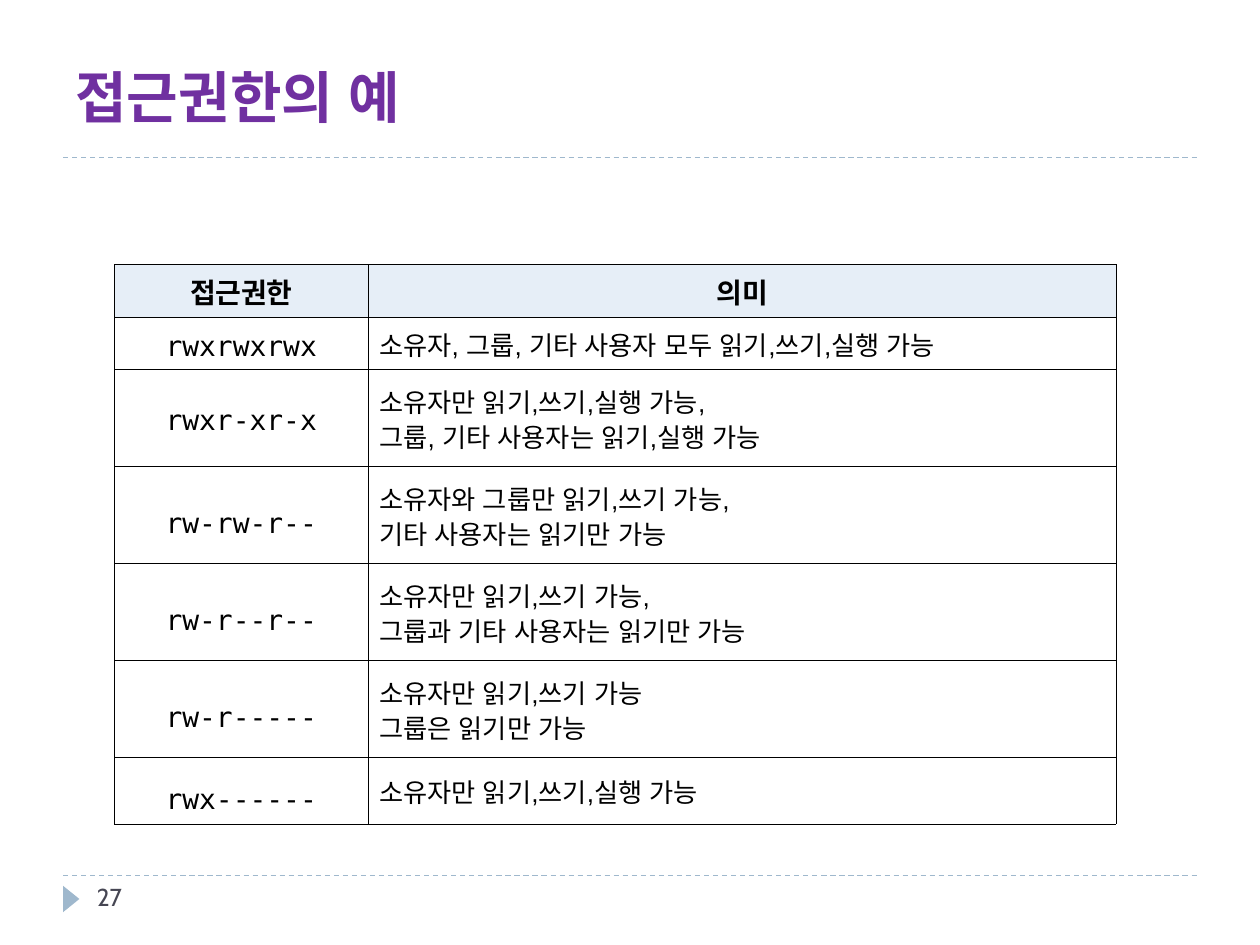
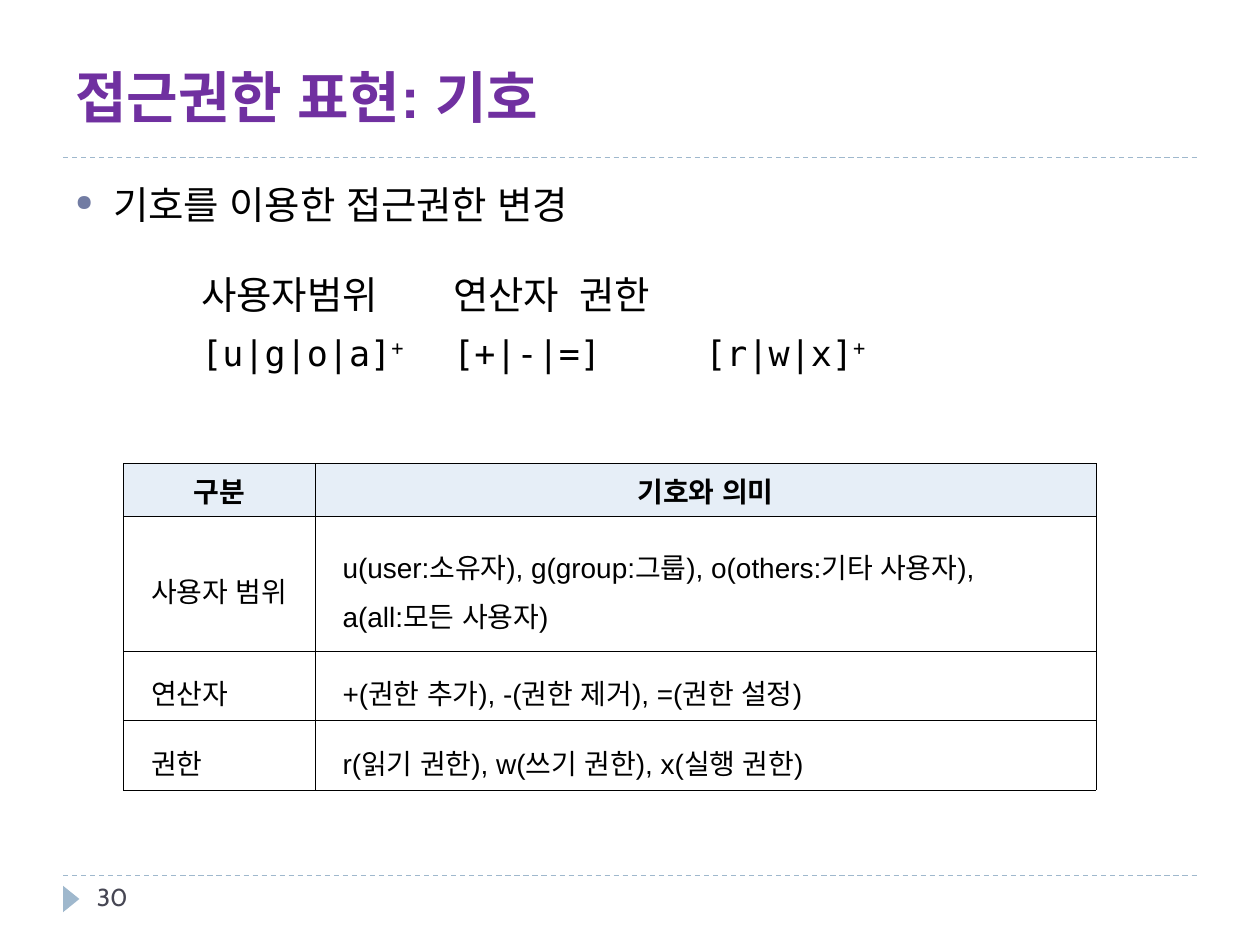
import pptx
import pptx.dml.color
import pptx.enum.dml
import pptx.enum.shapes
import pptx.enum.text
import pptx.oxml
import pptx.oxml.ns
import pptx.util
from lxml import etree

Inches = pptx.util.Inches
Pt = pptx.util.Pt
ALIGN = pptx.enum.text.PP_ALIGN
ANCHOR = pptx.enum.text.MSO_ANCHOR
qn = pptx.oxml.ns.qn

SANS, MONO, NUMBER_FONT = "Arial", "DejaVu Sans Mono", "Cabin"
BLACK, PURPLE, BAND, HEADER, GREY = "000000", "7030A0", "9FB8CD", "E6EEF7", "464653"


def rgb(value):
    return pptx.dml.color.RGBColor.from_string(value)


def add_run(p, text, size, font=SANS, color=BLACK, bold=False, raised=False):
    r = p.add_run()
    r.text = text
    r.font.size = Pt(size)
    r.font.name = font
    r.font.bold = bold
    r.font.color.rgb = rgb(color)
    # The East Asian face also sets the width of spaces between Korean words
    etree.SubElement(r.font._element, qn("a:ea"), typeface=font)
    if raised:
        r.font._element.set("baseline", "30000")


# Each table row: height, first cell, lines of second cell, first-column spacing
slides = [
    {
        "number": "27", "title": "접근권한의 예",
        "at": (0.91, 2.1), "cols": (2.01, 5.94),
        "header": (0.42, "접근권한", "의미"),
        "key": (ALIGN.CENTER, 0, 16, MONO),
        "meaning": (0.07, 15, 1.2),
        "rows": [
            (0.41, "rwxrwxrwx", ["소유자, 그룹, 기타 사용자 모두 읽기,쓰기,실행 가능"], 1.2),
            (0.77, "rwxr-xr-x", ["소유자만 읽기,쓰기,실행 가능,",
                                 "그룹, 기타 사용자는 읽기,실행 가능"], 1.2),
            (0.77, "rw-rw-r--", ["소유자와 그룹만 읽기,쓰기 가능,",
                                 "기타 사용자는 읽기만 가능"], 1.6),
            (0.77, "rw-r--r--", ["소유자만 읽기,쓰기 가능,",
                                 "그룹과 기타 사용자는 읽기만 가능"], 1.6),
            (0.77, "rw-r-----", ["소유자만 읽기,쓰기 가능", "그룹은 읽기만 가능"], 1.6),
            (0.53, "rwx------", ["소유자만 읽기,쓰기,실행 가능"], 1.6),
        ],
    },
    {
        "number": "30", "title": "접근권한 표현: 기호",
        "at": (0.98, 3.68), "cols": (1.52, 6.2),
        "header": (0.42, "구분", "기호와 의미"),
        "key": (ALIGN.JUSTIFY, 0.2, 16, SANS),
        "meaning": (0.2, 16, 1.6),
        "rows": [
            (1.07, "사용자 범위", ["u(user:소유자), g(group:그룹), o(others:기타 사용자),",
                              "a(all:모든 사용자)"], 1.6),
            (0.55, "연산자", ["+(권한 추가), -(권한 제거), =(권한 설정)"], 1.6),
            (0.55, "권한", ["r(읽기 권한), w(쓰기 권한), x(실행 권한)"], 1.6),
        ],
    },
]

prs = pptx.Presentation()
prs.slide_width, prs.slide_height = Inches(10), Inches(7.5)

for data in slides:
    s = prs.slides.add_slide(prs.slide_layouts[6])

    # Dashed rules under the title and above the footer
    for y in (6.95, 1.25):
        rule = s.shapes.add_connector(pptx.enum.shapes.MSO_CONNECTOR.STRAIGHT,
                                      Inches(0.5), Inches(y), Inches(9.5), Inches(y))
        rule.line.color.rgb = rgb(BAND)
        rule.line.width = Pt(0.75)
        rule.line.dash_style = pptx.enum.dml.MSO_LINE.DASH
        etree.SubElement(rule._element.spPr, qn("a:effectLst"))

    # Footer marker
    sp = s.shapes.add_shape(pptx.enum.shapes.MSO_SHAPE.ISOSCELES_TRIANGLE,
                            Inches(0.46), Inches(7.07), Inches(0.21), Inches(0.13))
    sp.rotation = 90
    sp.shadow.inherit = False
    sp.fill.solid()
    sp.fill.fore_color.rgb = rgb(BAND)
    sp.line.fill.background()

    # Title and slide number
    for box, anchor, text, size, font, color, bold in (
        ((0.5, 0.17, 9, 0.91), ANCHOR.BOTTOM, data["title"], 32, SANS, PURPLE, True),
        ((0.67, 6.95, 2.17, 0.4), ANCHOR.TOP, data["number"], 14, NUMBER_FONT, GREY, False),
    ):
        tf = s.shapes.add_textbox(*map(Inches, box)).text_frame
        tf.word_wrap = True
        tf.vertical_anchor = anchor
        add_run(tf.paragraphs[0], text, size, font, color, bold)

    # Table
    heights = [data["header"][0]] + [row[0] for row in data["rows"]]
    table = s.shapes.add_table(len(heights), 2, *map(Inches, data["at"]),
                               Inches(sum(data["cols"])), Inches(sum(heights))).table
    table.first_row = table.horz_banding = False
    for column, width in zip(table.columns, data["cols"]):
        column.width = Inches(width)
    for row, height in zip(table.rows, heights):
        row.height = Inches(height)

    # Cell contents: lines, alignment, indent, size, font, line spacing
    contents = [[([text], ALIGN.CENTER, 0, 16, SANS, 1.2) for text in data["header"][1:]]]
    indent, size, spacing = data["meaning"]
    for _, key, lines, key_spacing in data["rows"]:
        contents.append([([key], *data["key"], key_spacing),
                         (lines, ALIGN.JUSTIFY, indent, size, SANS, spacing)])

    for i, row in enumerate(contents):
        for j, (lines, align, indent, size, font, spacing) in enumerate(row):
            cell = table.cell(i, j)
            cell.vertical_anchor = ANCHOR.MIDDLE
            cell.margin_left = cell.margin_right = Inches(0.02)
            cell.margin_top = cell.margin_bottom = Inches(0.02)
            if i == 0:
                cell.fill.solid()
                cell.fill.fore_color.rgb = rgb(HEADER)
            else:
                cell.fill.background()
            for n, side in enumerate(("lnL", "lnR", "lnT", "lnB")):
                ln = etree.Element(qn("a:" + side), w=str(Pt(0.28)))
                fill = etree.SubElement(ln, qn("a:solidFill"))
                etree.SubElement(fill, qn("a:srgbClr"), val=BLACK)
                cell._tc.get_or_add_tcPr().insert(n, ln)
            tf = cell.text_frame
            for n, line in enumerate(lines):
                p = tf.add_paragraph() if n else tf.paragraphs[0]
                p.alignment = align
                p.line_spacing = spacing
                p._p.get_or_add_pPr().set("marL", str(Inches(indent)))
                add_run(p, line, size, font, bold=i == 0)

# Bulleted heading on the last slide
tf = s.shapes.add_textbox(Inches(0.5), Inches(1.39), Inches(9), Inches(5.35)).text_frame
tf.word_wrap = True
p = tf.paragraphs[0]
p.space_before = Pt(6)
add_run(p, "기호를 이용한 접근권한 변경", 22)
pPr = p._p.get_or_add_pPr()
pPr.set("marL", str(Inches(0.3)))
pPr.set("indent", str(Inches(-0.3)))
color = etree.SubElement(pPr, qn("a:buClr"))
etree.SubElement(color, qn("a:srgbClr"), val="727CA3")
etree.SubElement(pPr, qn("a:buSzPct"), val="58000")
etree.SubElement(pPr, qn("a:buChar"), char="●")

# Symbol syntax, lined up on tab stops
for space, stops, runs in (
    (25, (1, 3, 4), [("\t사용자범위 \t연산자 \t권한", 22, SANS, False)]),
    (6, (1, 3, 5), [("\t", 22, SANS, False),
                    ("[u|g|o|a]", 20, MONO, False),
                    ("+ \t", 20, MONO, True),
                    ("[+|-|=] \t[r|w|x]", 20, MONO, False),
                    ("+", 20, MONO, True)]),
):
    p = tf.add_paragraph()
    p.space_before = Pt(space)
    tabs = etree.SubElement(p._p.get_or_add_pPr(), qn("a:tabLst"))
    for stop in stops:
        etree.SubElement(tabs, qn("a:tab"), pos=str(Inches(stop)), algn="l")
    for text, size, font, raised in runs:
        add_run(p, text, size, font, raised=raised)

prs.save("out.pptx")
